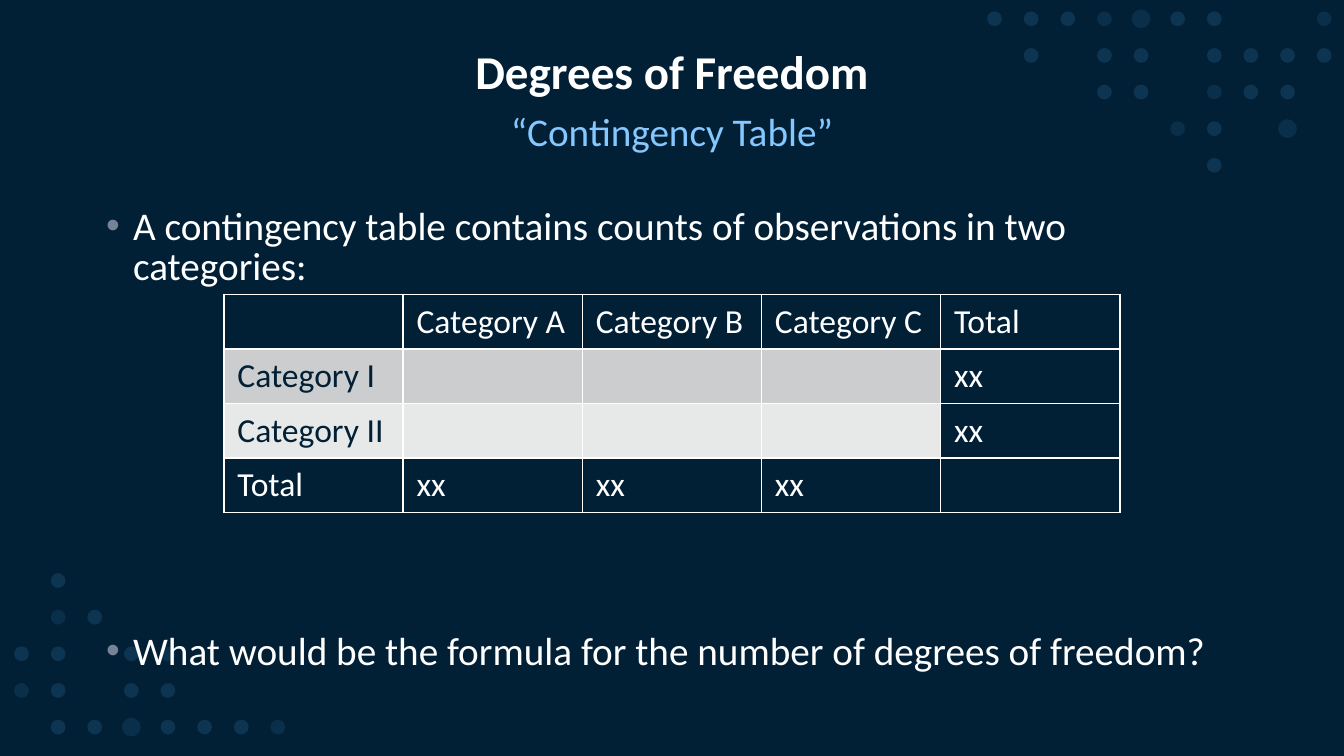
from lxml.etree import SubElement
from pptx import Presentation
from pptx.dml.color import RGBColor
from pptx.enum.shapes import MSO_SHAPE
from pptx.enum.text import MSO_ANCHOR, MSO_AUTO_SIZE, PP_ALIGN
from pptx.oxml.ns import qn
from pptx.util import Inches, Pt

COLORS = {
    "navy": "012036", "white": "FFFFFF", "sky": "85C8FF", "dot": "5CB5FF",
    "bullet": "768396", "band_dark": "CCCDCE", "band_light": "E7E8E8",
}
FONT = "Calibri"
WIDTH = Inches(10)
HEIGHT = WIDTH * 9 // 16
DOT_PITCH = Inches(1.09) // 4

# Dot patterns: o = regular, f = faint, B = big and faint
DOT_STYLES = {"o": (0.11, 14), "f": (0.11, 10), "B": (0.14, 10)}
TOP_RIGHT_DOTS = ["ooofBoo..f", ".o.oo.oooo", "...oo.foo", ".....fo.B", "......o"]
BOTTOM_LEFT_DOTS = [".o", ".fo", "oo.of", "fo.oo", ".ooBooof"]

CONTINGENCY_ROWS = [
    ["", "Category A", "Category B", "Category C", "Total"],
    ["Category I", "", "", "", "xx"],
    ["Category II", "", "", "", "xx"],
    ["Total", "xx", "xx", "xx", ""],
]
BAND_FILLS = {1: "band_dark", 2: "band_light"}


def rgb(name):
    return RGBColor.from_string(COLORS[name])


def format_paragraph(paragraph, size, color, bold=False):
    for run in paragraph.runs:
        run.font.name = FONT
        run.font.size = Pt(size)
        run.font.bold = bold
        run.font.color.rgb = rgb(color)


def place(placeholder, box):
    placeholder.left, placeholder.top, placeholder.width, placeholder.height = box
    placeholder.text_frame.auto_size = MSO_AUTO_SIZE.NONE


def add_dots(slide, pattern, left, top):
    """Dot grid behind the content; left and top are the first dot's centre."""
    for row, line in enumerate(pattern):
        for column, mark in enumerate(line):
            if mark not in DOT_STYLES:
                continue
            diameter, opacity = DOT_STYLES[mark]
            size = Inches(diameter)
            dot = slide.shapes.add_shape(
                MSO_SHAPE.OVAL, left + column * DOT_PITCH - size // 2,
                top + row * DOT_PITCH - size // 2, size, size)
            dot.shadow.inherit = False
            dot.line.fill.background()
            dot.fill.solid()
            dot.fill.fore_color.rgb = rgb("dot")
            fill_color = dot._element.spPr.find(".//" + qn("a:srgbClr"))
            SubElement(fill_color, qn("a:alpha"), val=str(opacity * 1000))
            slide.shapes._spTree.insert(2, dot._element)


def add_heading(placeholder, box, text, size, color, spacing, bold=False):
    place(placeholder, box)
    placeholder.text_frame.text = text
    placeholder.text_frame.vertical_anchor = (
        MSO_ANCHOR.MIDDLE if bold else MSO_ANCHOR.TOP)
    heading = placeholder.text_frame.paragraphs[0]
    heading.alignment = PP_ALIGN.CENTER
    heading.line_spacing = spacing
    properties = heading._p.get_or_add_pPr()
    properties.set("marL", "0")
    properties.set("indent", "0")
    SubElement(properties, qn("a:buNone"))
    format_paragraph(heading, size, color, bold)


def add_bullets(placeholder, box, items):
    """Bulleted list from (text, space before in points) pairs."""
    place(placeholder, box)
    frame = placeholder.text_frame
    frame.text = "\n".join(text for text, _ in items)
    for paragraph, (_, space) in zip(frame.paragraphs, items):
        paragraph.line_spacing = 0.85
        paragraph.space_before = Pt(space)
        properties = paragraph._p.get_or_add_pPr()
        properties.set("marL", str(Inches(0.2)))
        properties.set("indent", str(-Inches(0.2)))
        bullet_color = SubElement(properties, qn("a:buClr"))
        SubElement(bullet_color, qn("a:srgbClr"), val=COLORS["bullet"])
        SubElement(properties, qn("a:buFont"), typeface="Arial")
        SubElement(properties, qn("a:buChar"), char="•")
        format_paragraph(paragraph, 21, "white")


def set_borders(cell):
    properties = cell._tc.get_or_add_tcPr()
    for index, side in enumerate(("a:lnL", "a:lnR", "a:lnT", "a:lnB")):
        line = SubElement(properties, qn(side), w=str(Pt(1)))
        fill = SubElement(line, qn("a:solidFill"))
        SubElement(fill, qn("a:srgbClr"), val=COLORS["white"])
        properties.insert(index, line)


def add_contingency_table(slide, box):
    total_column = len(CONTINGENCY_ROWS[0]) - 1
    table = slide.shapes.add_table(
        len(CONTINGENCY_ROWS), total_column + 1, *box).table
    table.first_row = table.horz_banding = False
    for row, texts in enumerate(CONTINGENCY_ROWS):
        for column, text in enumerate(texts):
            banded = row in BAND_FILLS and column < total_column
            cell = table.cell(row, column)
            cell.text = text
            cell.fill.solid()
            cell.fill.fore_color.rgb = rgb(BAND_FILLS[row] if banded else "navy")
            format_paragraph(cell.text_frame.paragraphs[0], 18,
                             "navy" if banded else "white")
            set_borders(cell)


def build():
    deck = Presentation()
    deck.slide_width, deck.slide_height = WIDTH, HEIGHT
    slide = deck.slides.add_slide(deck.slide_layouts.get_by_name("Two Content"))
    slide.background.fill.solid()
    slide.background.fill.fore_color.rgb = rgb("navy")

    # Corner decoration
    add_dots(slide, TOP_RIGHT_DOTS, Inches(7.4), Inches(0.14))
    add_dots(slide, BOTTOM_LEFT_DOTS, Inches(0.16), Inches(4.32))

    # Title, list and subtitle share one column
    title, body, subtitle = slide.placeholders
    margin = Inches(0.69)
    column = WIDTH - 2 * margin
    band = Inches(0.5)
    add_heading(title, (margin, Inches(0.3), column, band),
                "Degrees of Freedom", 25.2, "white", 0.9, bold=True)
    add_heading(subtitle, (margin, Inches(0.8), column, band),
                "“Contingency Table”", 21, "sky", 0.85)
    add_bullets(body, (margin, Inches(1.5), column, Inches(3.57)), [
        ("A contingency table contains counts of observations in two categories:", 8),
        ("What would be the formula for the number of degrees of freedom?", 185),
    ])

    # Table centred in the gap between the bullets
    add_contingency_table(
        slide, (WIDTH // 6, Inches(2.19), WIDTH * 2 // 3, Inches(1.62)))
    deck.save("out.pptx")


if __name__ == "__main__":
    build()
